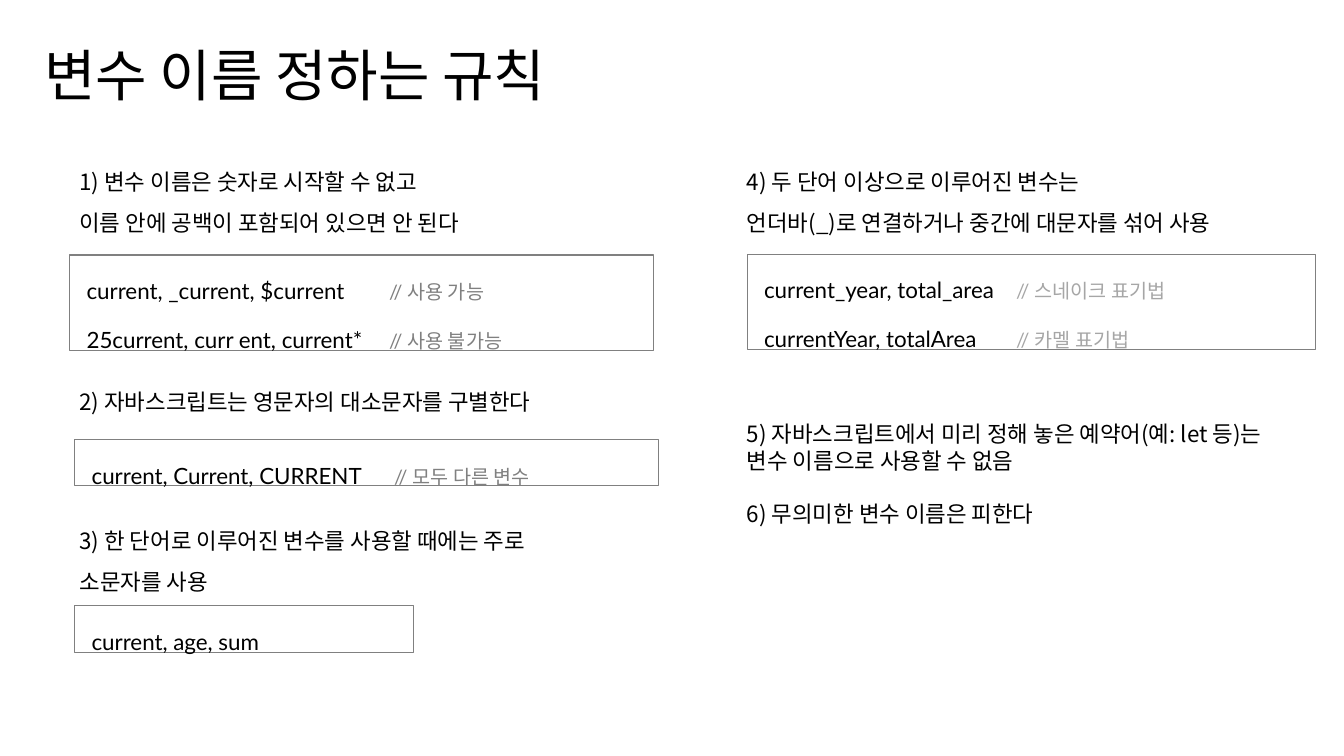
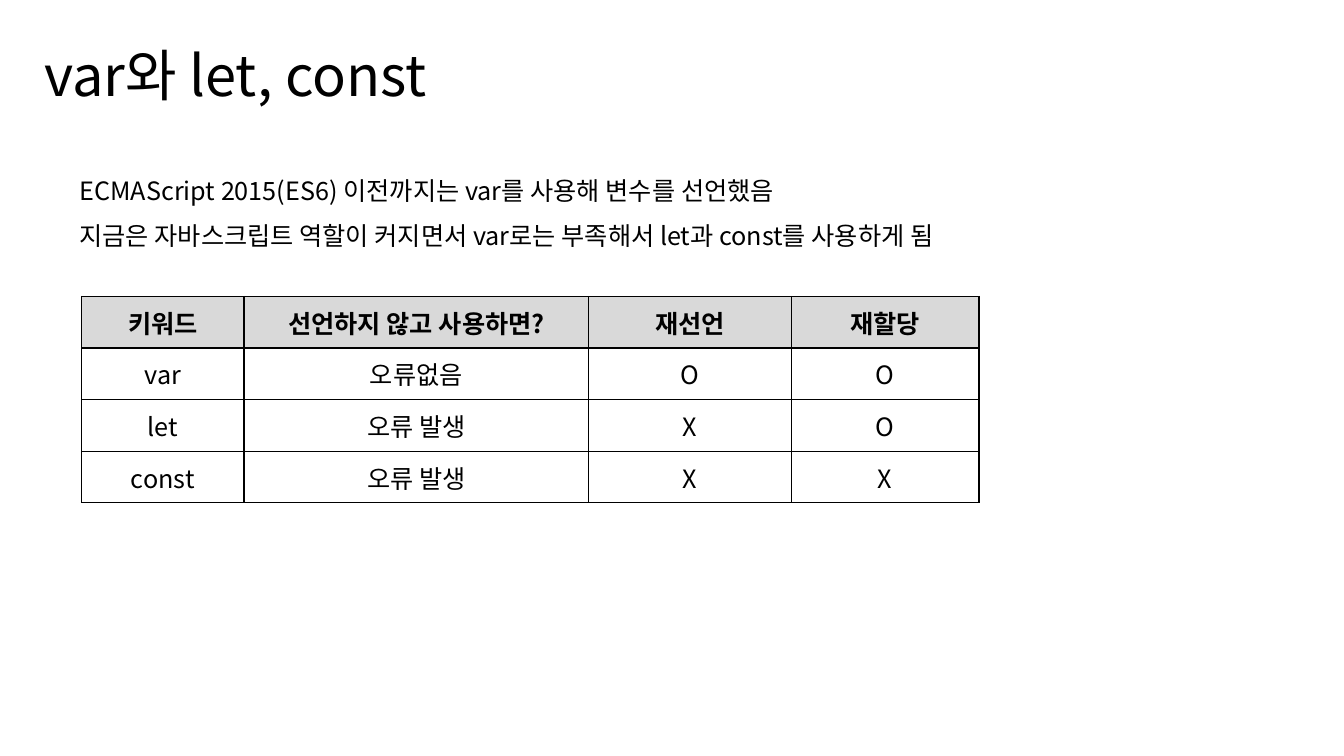
"""Build two slides on JavaScript variable names and the var, let and const keywords."""
from dataclasses import dataclass

from lxml import etree
from pptx import Presentation
from pptx import util as u
from pptx.dml.color import RGBColor
from pptx.enum import shapes, text
from pptx.oxml import ns

COLORS = {
    "ink": "000000",
    "outline": "808080",
    "note": "808080",
    "light_note": "A6A6A6",
    "header": "D9D9D9",
}
BODY_FONT = "Noto Sans CJK KR"
CODE_FONT = "Lato"


@dataclass(frozen=True)
class Area:
    left: float
    top: float
    width: float
    height: float

    def lengths(self) -> tuple:
        return tuple(u.Inches(n) for n in (self.left, self.top, self.width, self.height))


@dataclass(frozen=True)
class Prose:
    area: Area
    paragraphs: tuple[str, ...]
    size: int = 16
    line_spacing: float = 1.0
    gap: int = 0


@dataclass(frozen=True)
class CodeLine:
    code: str
    note: str = ""
    note_at: float = 0.28


@dataclass(frozen=True)
class CodeBox:
    area: Area
    lines: tuple[CodeLine, ...]
    note_color: str = "note"


RULES = (
    Prose(Area(0.69, 1.49, 5.9, 0.86),
          ("1) 변수 이름은 숫자로 시작할 수 없고\v이름 안에 공백이 포함되어 있으면 안 된다",),
          line_spacing=1.5),
    Prose(Area(0.69, 3.8, 6.67, 0.37), ("2) 자바스크립트는 영문자의 대소문자를 구별한다",)),
    Prose(Area(0.69, 5.05, 5.92, 0.86),
          ("3) 한 단어로 이루어진 변수를 사용할 때에는 주로\v소문자를 사용",),
          line_spacing=1.5),
    Prose(Area(7.31, 1.49, 5.74, 0.86),
          ("4) 두 단어 이상으로 이루어진 변수는",
           "언더바(_)로 연결하거나 중간에 대문자를 섞어 사용"),
          line_spacing=1.5),
    Prose(Area(7.31, 4.12, 5.74, 1.18),
          ("5) 자바스크립트에서 미리 정해 놓은 예약어(예: let 등)는 변수 이름으로 사용할 수 없음",
           "6) 무의미한 변수 이름은 피한다"),
          gap=19),
)
CODE_BOXES = (
    CodeBox(Area(0.69, 2.53, 5.79, 0.95),
            (CodeLine("current, _current, $current", "// 사용 가능", 2.86),
             CodeLine("25current, curr ent, current*", "// 사용 불가능", 2.92))),
    CodeBox(Area(0.74, 4.36, 5.79, 0.46),
            (CodeLine("current, Current, CURRENT", "// 모두 다른 변수", 2.87),)),
    CodeBox(Area(0.74, 6.01, 3.36, 0.46), (CodeLine("current, age, sum"),)),
    CodeBox(Area(7.41, 2.52, 5.64, 0.95),
            (CodeLine("current_year, total_area", "// 스네이크 표기법", 2.53),
             CodeLine("currentYear, totalArea", "// 카멜 표기법", 2.47)),
            "light_note"),
)
HISTORY = Prose(Area(0.69, 1.54, 11.36, 0.96),
                ("ECMAScript 2015(ES6) 이전까지는 var를 사용해 변수를 선언했음",
                 "지금은 자바스크립트 역할이 커지면서 var로는 부족해서 let과 const를 사용하게 됨"),
                size=18, line_spacing=1.5)
KEYWORDS = (
    ("키워드", "선언하지 않고 사용하면?", "재선언", "재할당"),
    ("var", "오류없음", "O", "O"),
    ("let", "오류 발생", "X", "O"),
    ("const", "오류 발생", "X", "X"),
)
KEYWORD_AREA = Area(0.81, 2.94, 8.9, 2.05)
KEYWORD_WIDTHS = (1.61, 3.42, 2.01, 1.86)


def color(name: str) -> RGBColor:
    return RGBColor.from_string(COLORS[name])


def style_run(span, size: int, font: str = BODY_FONT, ink: str = "ink", bold: bool = False) -> None:
    span.font.size = u.Pt(size)
    span.font.name = font
    span.font.bold = bold
    span.font.color.rgb = color(ink)
    east_asian = etree.SubElement(span.font._element, ns.qn("a:ea"))
    east_asian.set("typeface", BODY_FONT)


def add_prose(page, prose: Prose) -> None:
    frame = page.shapes.add_textbox(*prose.area.lengths()).text_frame
    frame.word_wrap = True
    frame.text = "\n".join(prose.paragraphs)
    for index, para in enumerate(frame.paragraphs):
        para.line_spacing = prose.line_spacing
        if index and prose.gap:
            para.space_before = u.Pt(prose.gap)
        for span in para.runs:
            style_run(span, prose.size)


def add_tab_stop(para, position: float) -> None:
    properties = para._p.get_or_add_pPr()
    properties.set("marL", str(u.Inches(0.07)))
    properties.set("indent", "0")
    stops = etree.SubElement(properties, ns.qn("a:tabLst"))
    etree.SubElement(stops, ns.qn("a:tab"), pos=str(u.Inches(position)), algn="l")


def add_code_box(page, code_box: CodeBox) -> None:
    box = page.shapes.add_shape(shapes.MSO_SHAPE.RECTANGLE, *code_box.area.lengths())
    box.shadow.inherit = False
    box.fill.background()
    box.line.color.rgb = color("outline")
    box.line.width = u.Pt(0.75)
    frame = box.text_frame
    frame.word_wrap = True
    frame.vertical_anchor = text.MSO_ANCHOR.TOP
    frame.margin_top = u.Inches(0.09)
    frame.text = "\n".join(line.code for line in code_box.lines)
    for index, (para, line) in enumerate(zip(frame.paragraphs, code_box.lines)):
        add_tab_stop(para, line.note_at)
        para.alignment = text.PP_ALIGN.LEFT
        para.line_spacing = 1.5
        para.space_before = u.Pt(3 if index else 0)
        para.space_after = u.Pt(3)
        style_run(para.runs[0], 16, CODE_FONT)
        if line.note:
            note = para.add_run()
            note.text = f"\t{line.note}"
            style_run(note, 14, CODE_FONT, code_box.note_color)


def add_cell_borders(cell) -> None:
    properties = cell._tc.get_or_add_tcPr()
    for index, side in enumerate(("lnL", "lnR", "lnT", "lnB")):
        border = etree.Element(ns.qn(f"a:{side}"), w=str(u.Pt(1)))
        fill = etree.SubElement(border, ns.qn("a:solidFill"))
        etree.SubElement(fill, ns.qn("a:srgbClr"), val=COLORS["ink"])
        properties.insert(index, border)


def add_keyword_table(page) -> None:
    frame = page.shapes.add_table(len(KEYWORDS), len(KEYWORD_WIDTHS), *KEYWORD_AREA.lengths())
    table = frame.table
    table.first_row = table.horz_banding = False
    for column, width in zip(table.columns, KEYWORD_WIDTHS):
        column.width = u.Inches(width)
    for row, labels in enumerate(KEYWORDS):
        for column, label in enumerate(labels):
            cell = table.cell(row, column)
            cell.vertical_anchor = text.MSO_ANCHOR.MIDDLE
            if row == 0:
                cell.fill.solid()
                cell.fill.fore_color.rgb = color("header")
            else:
                cell.fill.background()
            add_cell_borders(cell)
            para = cell.text_frame.paragraphs[0]
            para.text = label
            para.alignment = text.PP_ALIGN.CENTER
            style_run(para.runs[0], 18, bold=row == 0)


def add_page(deck, title: str):
    page = deck.slides.add_slide(deck.slide_layouts[6])
    add_prose(page, Prose(Area(0.34, 0.35, 7.47, 0.77), (title,), size=40))
    return page


def main() -> None:
    deck = Presentation()
    deck.slide_width, deck.slide_height = u.Inches(13.33), u.Inches(7.5)

    naming_page = add_page(deck, "변수 이름 정하는 규칙")
    for rule in RULES:
        add_prose(naming_page, rule)
    for code_box in CODE_BOXES:
        add_code_box(naming_page, code_box)

    keyword_page = add_page(deck, "var와 let, const")
    add_prose(keyword_page, HISTORY)
    add_keyword_table(keyword_page)

    deck.save("out.pptx")


if __name__ == "__main__":
    main()
